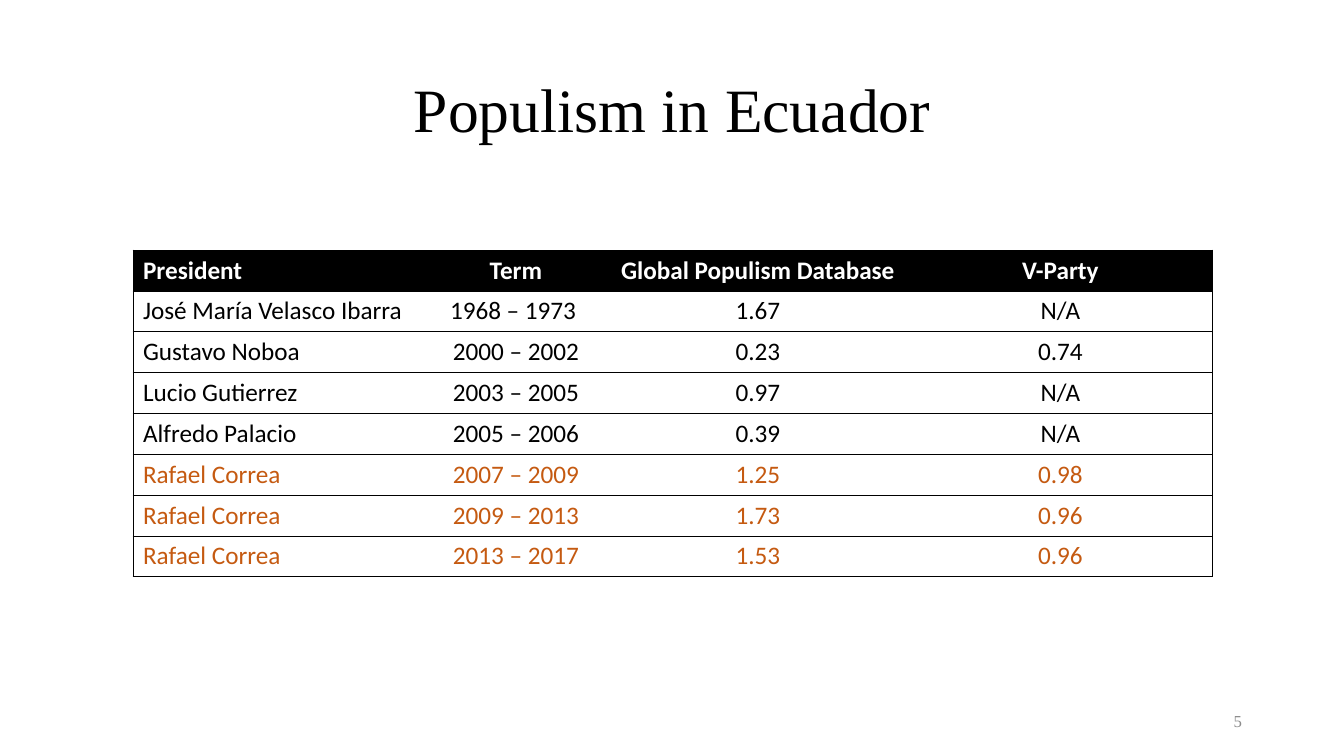
from typing import NamedTuple

from lxml.etree import SubElement
from pptx import Presentation
from pptx.dml.color import RGBColor
from pptx.enum.text import MSO_ANCHOR, PP_ALIGN
from pptx.oxml.ns import qn
from pptx.util import Emu, Pt

SCALE = 914400 / 100.8
BLACK, WHITE, RUST, GREY = "000000", "FFFFFF", "C55A11", "8C8C8C"
SERIF, SANS = "Times New Roman", "Calibri"


class Box(NamedTuple):
    left: int
    top: int
    width: int
    height: int


class Font(NamedTuple):
    name: str
    size: int
    color: str
    bold: bool = False


class Label(NamedTuple):
    text: str
    box: Box
    font: Font
    align: PP_ALIGN
    space: float = 1.0


class Row(NamedTuple):
    cells: tuple[str, ...]
    color: str = BLACK


LABELS = [
    Label("Populism in Ecuador", Box(93, 40, 1159, 146),
          Font(SERIF, 44, BLACK), PP_ALIGN.CENTER, 0.9),
    Label("5", Box(950, 701, 302, 40), Font(SERIF, 12, GREY), PP_ALIGN.RIGHT),
]
GRID = Box(133, 250, 1079, 327)
COLUMNS = [292, 182, 302, 303]
ROWS = [
    Row(("President", "Term", "Global Populism Database", "V-Party"), WHITE),
    Row(("José María Velasco Ibarra", "1968 – 1973 ", "1.67", "N/A")),
    Row(("Gustavo Noboa", "2000 – 2002", "0.23", "0.74")),
    Row(("Lucio Gutierrez", "2003 – 2005", "0.97", "N/A")),
    Row(("Alfredo Palacio", "2005 – 2006", "0.39", "N/A")),
    Row(("Rafael Correa", "2007 – 2009", "1.25", "0.98"), RUST),
    Row(("Rafael Correa", "2009 – 2013", "1.73", "0.96"), RUST),
    Row(("Rafael Correa", "2013 – 2017", "1.53", "0.96"), RUST),
]


def px(length: float) -> Emu:
    return Emu(round(length * SCALE))


def tint(color: str) -> RGBColor:
    return RGBColor.from_string(color)


def write(frame, text: str, font: Font, align: PP_ALIGN, space: float = 1.0) -> None:
    para = frame.paragraphs[0]
    para.alignment = align
    para.line_spacing = space
    run = para.add_run()
    run.text = text
    run.font.name = font.name
    run.font.size = Pt(font.size)
    run.font.bold = font.bold
    run.font.color.rgb = tint(font.color)


def draw_label(slide, label: Label) -> None:
    frame = slide.shapes.add_textbox(*map(px, label.box)).text_frame
    frame.word_wrap = True
    frame.vertical_anchor = MSO_ANCHOR.MIDDLE
    write(frame, label.text, label.font, label.align, label.space)


def draw_edge(cell, side: str, shown: bool) -> None:
    props = cell._tc.get_or_add_tcPr()
    line = SubElement(props, qn(f"a:ln{side}"), w=str(Pt(0.5)))
    if shown:
        fill = SubElement(line, qn("a:solidFill"))
        SubElement(fill, qn("a:srgbClr"), val=BLACK)
    else:
        SubElement(line, qn("a:noFill"))


def draw_cell(cell, text: str, color: str, head: bool, first: bool, last: bool) -> None:
    for side, shown in (("L", first), ("R", last), ("T", True), ("B", True)):
        draw_edge(cell, side, shown)
    if head:
        cell.fill.solid()
        cell.fill.fore_color.rgb = tint(BLACK)
    else:
        cell.fill.background()
    align = PP_ALIGN.LEFT if first else PP_ALIGN.CENTER
    write(cell.text_frame, text, Font(SANS, 18, color, head), align)


def draw_table(slide, rows: list[Row]) -> None:
    table = slide.shapes.add_table(len(rows), len(COLUMNS), *map(px, GRID)).table
    table.horz_banding = False
    for column, width in zip(table.columns, COLUMNS):
        column.width = px(width)
    end = len(COLUMNS) - 1
    for y, row in enumerate(rows):
        table.rows[y].height = px(GRID.height / len(rows))
        for x, text in enumerate(row.cells):
            draw_cell(table.cell(y, x), text, row.color, y == 0, x == 0, x == end)


deck = Presentation()
deck.slide_width, deck.slide_height = px(1344), px(756)
slide = deck.slides.add_slide(deck.slide_layouts[6])
for label in LABELS:
    draw_label(slide, label)
draw_table(slide, ROWS)
deck.save("out.pptx")
